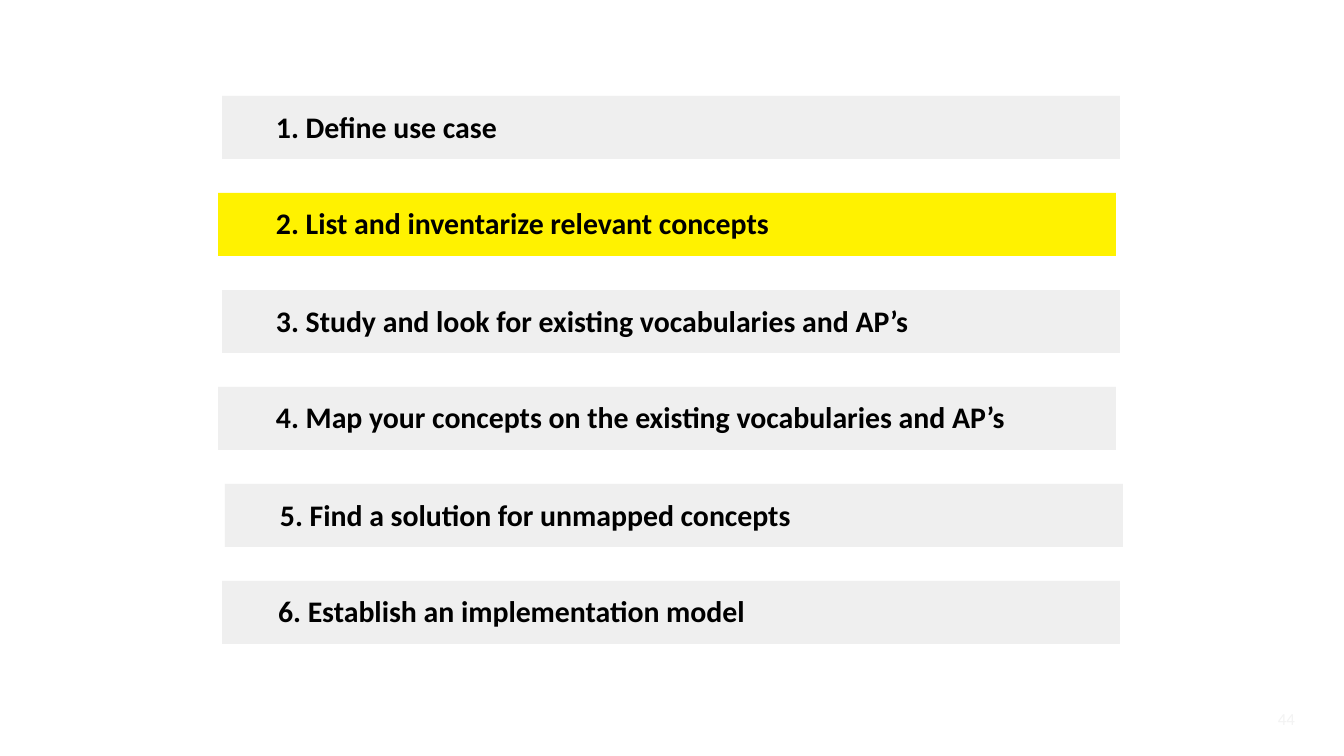
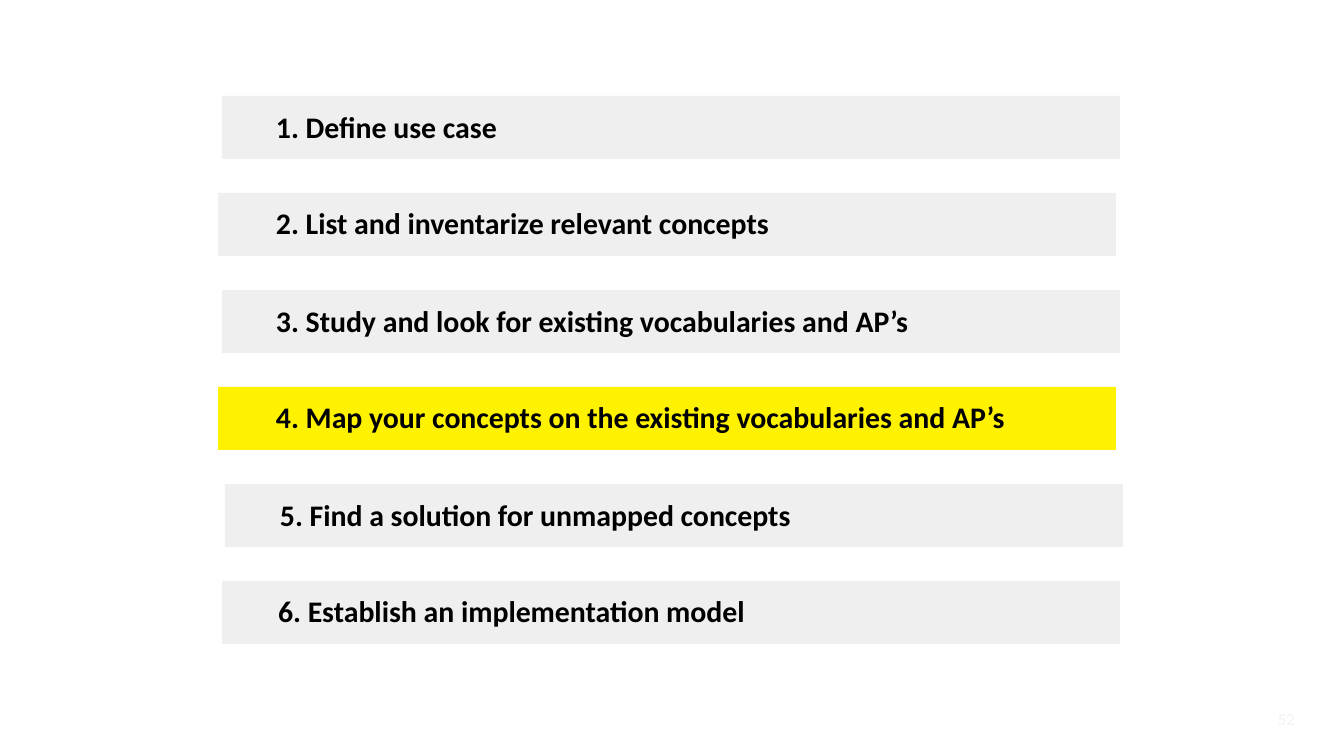
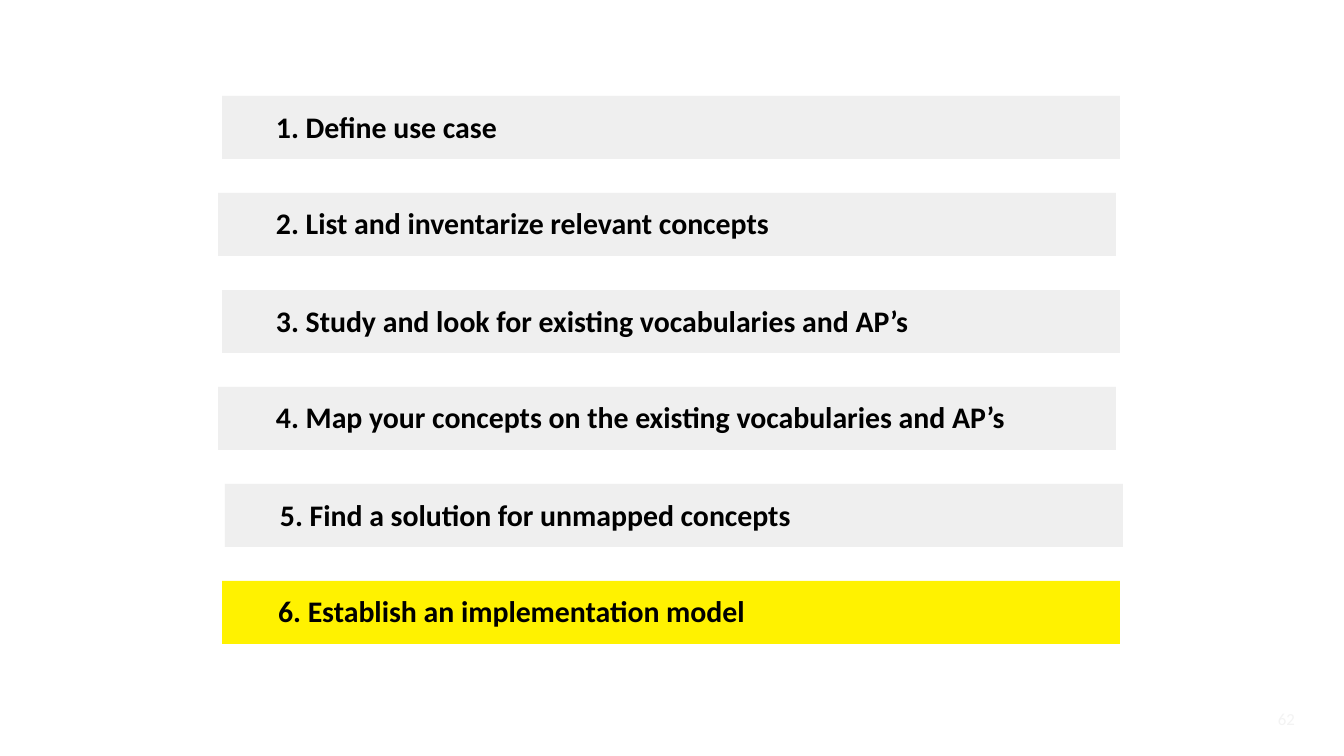
from dataclasses import dataclass

from pptx import Presentation
from pptx.dml.color import RGBColor
from pptx.enum.shapes import MSO_SHAPE
from pptx.enum.text import PP_ALIGN
from pptx.util import Pt

SCALE = 914400 / 134.4  # EMU in one px


@dataclass(frozen=True)
class Theme:
    font: str = "Calibri"
    ink: str = "000000"
    bar: str = "EFEFEF"
    active: str = "FFF200"
    faint: str = "F3F3F3"
    step: int = 16
    page: int = 9


theme = Theme()


def px(*sizes):
    return [round(size * SCALE) for size in sizes]


def label(slide, box, text, size, color, bold=False, align=PP_ALIGN.LEFT):
    frame = slide.shapes.add_textbox(*px(*box)).text_frame
    frame.margin_left = frame.margin_right = 0
    frame.margin_top = frame.margin_bottom = 0
    frame.word_wrap = True
    frame.text = text
    line = frame.paragraphs[0]
    line.alignment = align
    font = line.runs[0].font
    font.name, font.size, font.bold = theme.font, Pt(size), bold
    font.color.rgb = RGBColor.from_string(color)


# Steps: text, bar left, text left
steps = [
    ("1. Define use case", 222, 276),
    ("2. List and inventarize relevant concepts", 218, 276),
    ("3. Study and look for existing vocabularies and AP’s", 222, 276),
    ("4. Map your concepts on the existing vocabularies and AP’s", 218, 276),
    ("5. Find a solution for unmapped concepts", 225, 280),
    ("6. Establish an implementation model", 222, 278),
]
top, pitch, width, height = 96, 97, 898, 63

# Page number and active step of each slide
pages = [(44, 2), (52, 4), (62, 6)]

deck = Presentation()
deck.slide_width, deck.slide_height = px(1344, 756)
blank = deck.slide_layouts[6]

for page, active in pages:
    slide = deck.slides.add_slide(blank)

    # Step bars
    for num, (text, left, inset) in enumerate(steps, 1):
        y = top + (num - 1) * pitch
        bar = slide.shapes.add_shape(
            MSO_SHAPE.RECTANGLE, *px(left, y, width, height))
        bar.shadow.inherit = False
        bar.line.fill.background()
        bar.fill.solid()
        fill = theme.active if num == active else theme.bar
        bar.fill.fore_color.rgb = RGBColor.from_string(fill)

        # Odd and even steps differ in the size of the text box
        if num % 2:
            box = (inset, y + 13, 857, 22)
        else:
            box = (inset, y + 12, 816, 36)
        label(slide, box, text, theme.step, theme.ink, bold=True)

    # Page number
    label(slide, (1235, 709, 60, 17), str(page), theme.page, theme.faint,
          align=PP_ALIGN.RIGHT)

deck.save("out.pptx")
